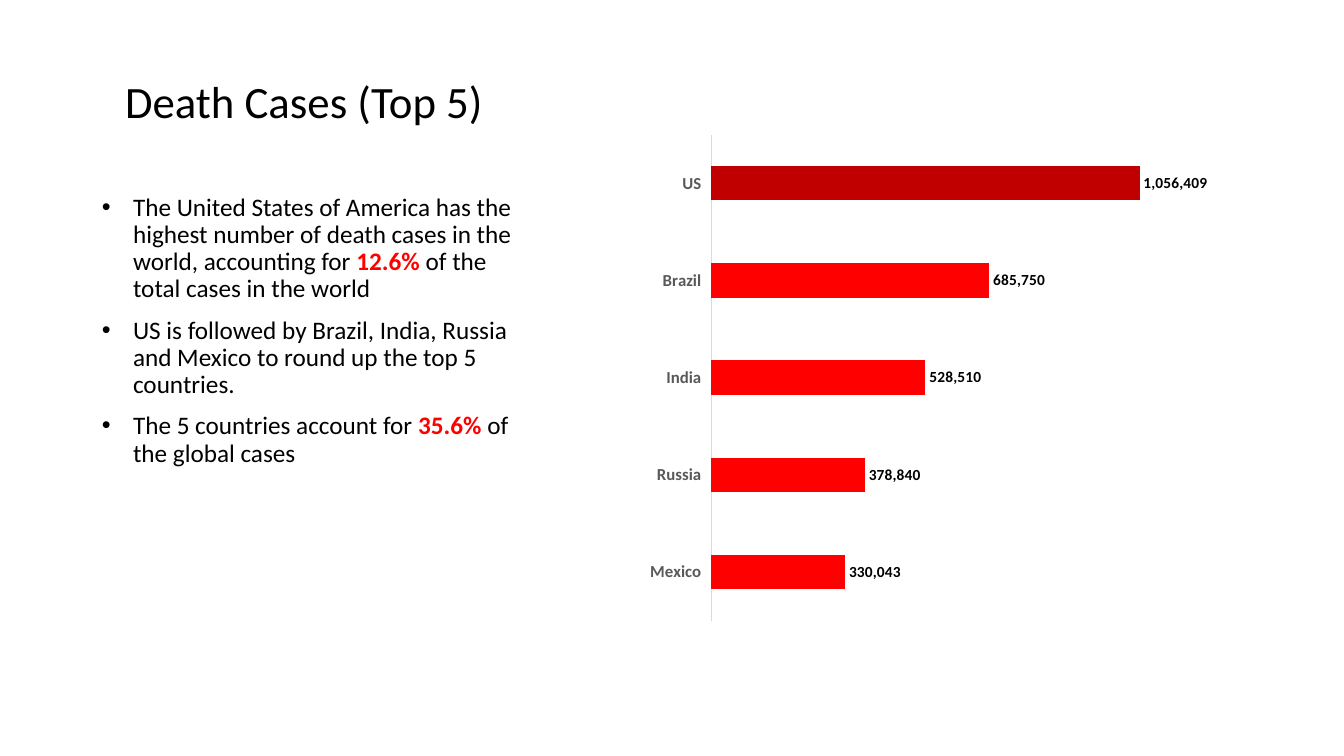
from lxml import etree
from pptx import Presentation
from pptx.chart.data import CategoryChartData
from pptx.dml.color import RGBColor
from pptx.enum.chart import XL_CHART_TYPE, XL_LABEL_POSITION, XL_TICK_LABEL_POSITION, XL_TICK_MARK
from pptx.enum.text import MSO_ANCHOR, MSO_AUTO_SIZE, PP_ALIGN
from pptx.oxml import parse_xml
from pptx.oxml.ns import nsdecls, qn
from pptx.util import Inches, Pt

BAR = XL_CHART_TYPE.BAR_CLUSTERED
OUTSIDE_END = XL_LABEL_POSITION.OUTSIDE_END
LABELS_LOW = XL_TICK_LABEL_POSITION.LOW
NO_TICK = XL_TICK_MARK.NONE
TOP, BOTTOM = MSO_ANCHOR.TOP, MSO_ANCHOR.BOTTOM
NO_AUTOFIT = MSO_AUTO_SIZE.NONE
LEFT = PP_ALIGN.LEFT

FONT = "Calibri"
BLACK, GREY, AXIS_GREY = "000000", "595959", "D9D9D9"
RED, DARK_RED = "FF0000", "C00000"

# Each point is a list of (text, emphasised) runs
POINTS = [
    [("The United States of America has the highest number of death cases "
      "in the world, accounting for ", False),
     ("12.6% ", True),
     ("of the total cases in the world", False)],
    [("US is followed by Brazil, India, Russia and Mexico to round up "
      "the top 5 countries.", False)],
    [("The 5 countries account for ", False),
     ("35.6%", True),
     (" of the global cases", False)],
]
DEATHS = {"Mexico": 330043, "Russia": 378840, "India": 528510,
          "Brazil": 685750, "US": 1056409}
PLOT_AREA = {"x": 0.205, "y": 0.048, "w": 0.715, "h": 0.905}


def color(hex_value):
    return RGBColor.from_string(hex_value)


def set_values(target, values):
    for name, value in values.items():
        setattr(target, name, value)


def set_font(font, size, hex_value, bold=False):
    set_values(font, {"name": FONT, "size": Pt(size), "bold": bold})
    font.color.rgb = color(hex_value)


def place(placeholder, left, top, width, height, anchor):
    set_values(placeholder, {"left": Inches(left), "top": Inches(top),
                             "width": Inches(width), "height": Inches(height)})
    set_values(placeholder.text_frame, {"word_wrap": True, "auto_size": NO_AUTOFIT,
                                        "vertical_anchor": anchor})
    return placeholder.text_frame


def add_bullet(paragraph):
    properties = paragraph._p.get_or_add_pPr()
    properties.set("marL", str(Inches(0.31)))
    properties.set("indent", str(-Inches(0.31)))
    properties.append(parse_xml(f'<a:buFont {nsdecls("a")} typeface="Arial"/>'))
    properties.append(parse_xml(f'<a:buChar {nsdecls("a")} char="•"/>'))


def fill_title(title):
    heading = place(title, 1.14, 0.31, 4.3, 1.01, BOTTOM).paragraphs[0]
    set_values(heading, {"alignment": LEFT, "line_spacing": 0.9})
    run = heading.add_run()
    run.text = "Death Cases (Top 5)"
    set_font(run.font, 32, BLACK)


def fill_points(body):
    frame = place(body, 0.91, 1.88, 4.3, 4.17, TOP)
    for index, point in enumerate(POINTS):
        paragraph = frame.add_paragraph() if index else frame.paragraphs[0]
        add_bullet(paragraph)
        set_values(paragraph, {"alignment": LEFT, "line_spacing": 0.9,
                               "space_before": Pt(10 if index else 0)})
        for text, emphasised in point:
            run = paragraph.add_run()
            run.text = text
            set_font(run.font, 18, RED if emphasised else BLACK, emphasised)


def fix_plot_area(chart):
    plot_area = chart._chartSpace.chart.plotArea
    for old_layout in plot_area.findall(qn("c:layout")):
        plot_area.remove(old_layout)
    layout = parse_xml(f'<c:layout {nsdecls("c")}><c:manualLayout/></c:layout>')
    settings = {"layoutTarget": "inner", "xMode": "edge", "yMode": "edge", **PLOT_AREA}
    for name, value in settings.items():
        etree.SubElement(layout[0], qn(f"c:{name}")).set("val", str(value))
    plot_area.insert(0, layout)


def add_deaths_chart(slide):
    data = CategoryChartData(number_format="#,##0")
    data.categories = list(DEATHS)
    data.add_series("Series 1", list(DEATHS.values()))
    chart = slide.shapes.add_chart(BAR, Inches(5.67), Inches(1.08),
                                   Inches(6.75), Inches(5.33), data).chart
    set_values(chart, {"has_legend": False, "has_title": False})
    set_font(chart.font, 10, BLACK)
    fix_plot_area(chart)

    # Axes
    countries = chart.category_axis
    set_values(countries, {"major_tick_mark": NO_TICK, "minor_tick_mark": NO_TICK,
                           "tick_label_position": LABELS_LOW,
                           "has_major_gridlines": False})
    set_font(countries.tick_labels.font, 12, GREY, True)
    countries.format.line.color.rgb = color(AXIS_GREY)
    countries.format.line.width = Pt(0.75)
    set_values(chart.value_axis, {"minimum_scale": 0, "maximum_scale": 1200000,
                                  "has_major_gridlines": False, "visible": False})

    # Bars, with the leading country darker
    bars = chart.plots[0]
    set_values(bars, {"gap_width": 182, "vary_by_categories": False})
    deaths = bars.series[0]
    leader = deaths.points[list(DEATHS).index("US")]
    for part, hex_value in ((deaths, RED), (leader, DARK_RED)):
        part.format.fill.solid()
        part.format.fill.fore_color.rgb = color(hex_value)

    # Value labels
    labels = deaths.data_labels
    set_values(labels, {"show_value": True, "position": OUTSIDE_END,
                        "number_format": "#,##0", "number_format_is_linked": False})
    set_font(labels.font, 11, BLACK, True)


def main():
    deck = Presentation()
    set_values(deck, {"slide_width": Inches(13.33), "slide_height": Inches(7.5)})
    slide = deck.slides.add_slide(deck.slide_layouts[1])
    fill_title(slide.shapes.title)
    fill_points(slide.placeholders[1])
    add_deaths_chart(slide)
    deck.save("out.pptx")


if __name__ == "__main__":
    main()
